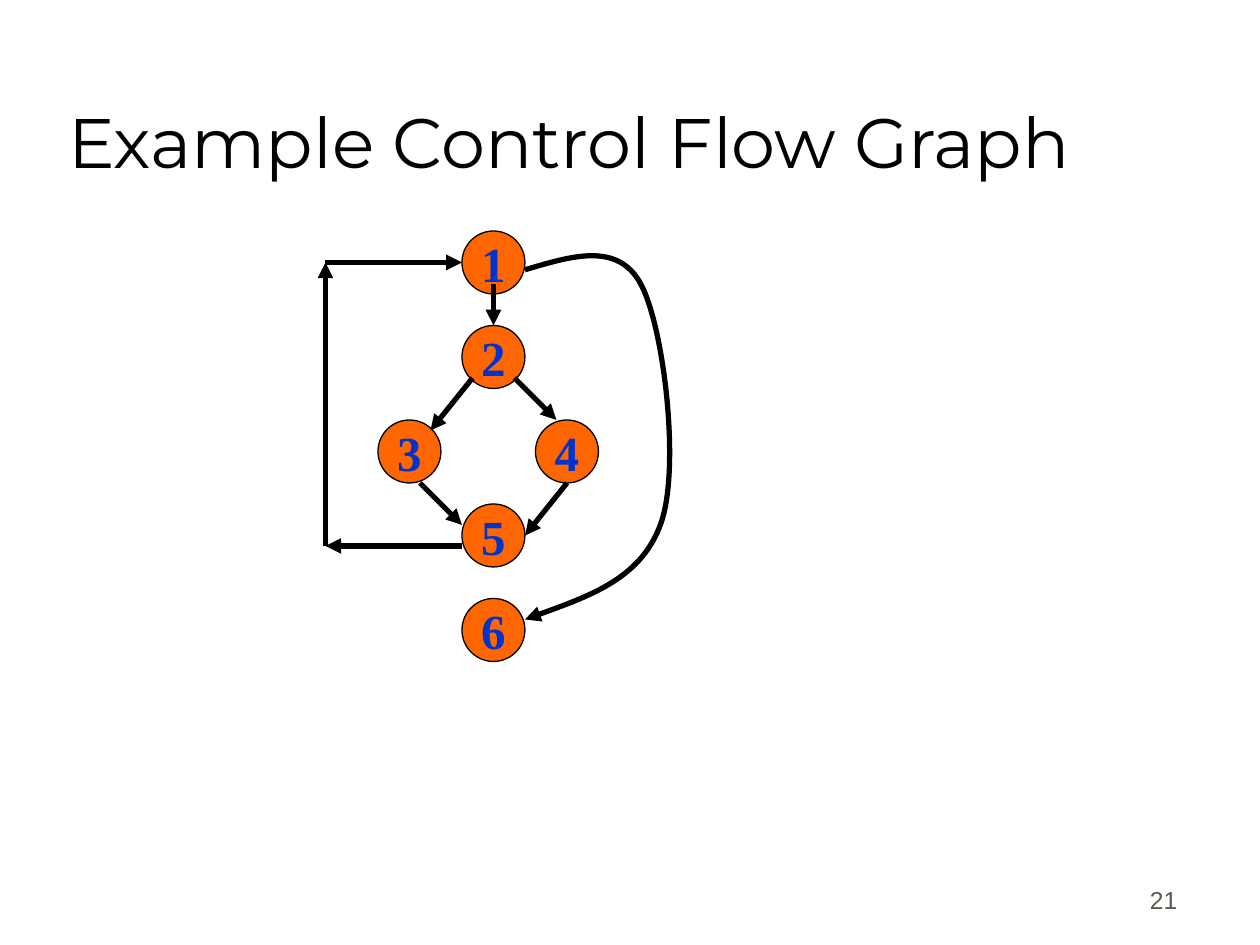
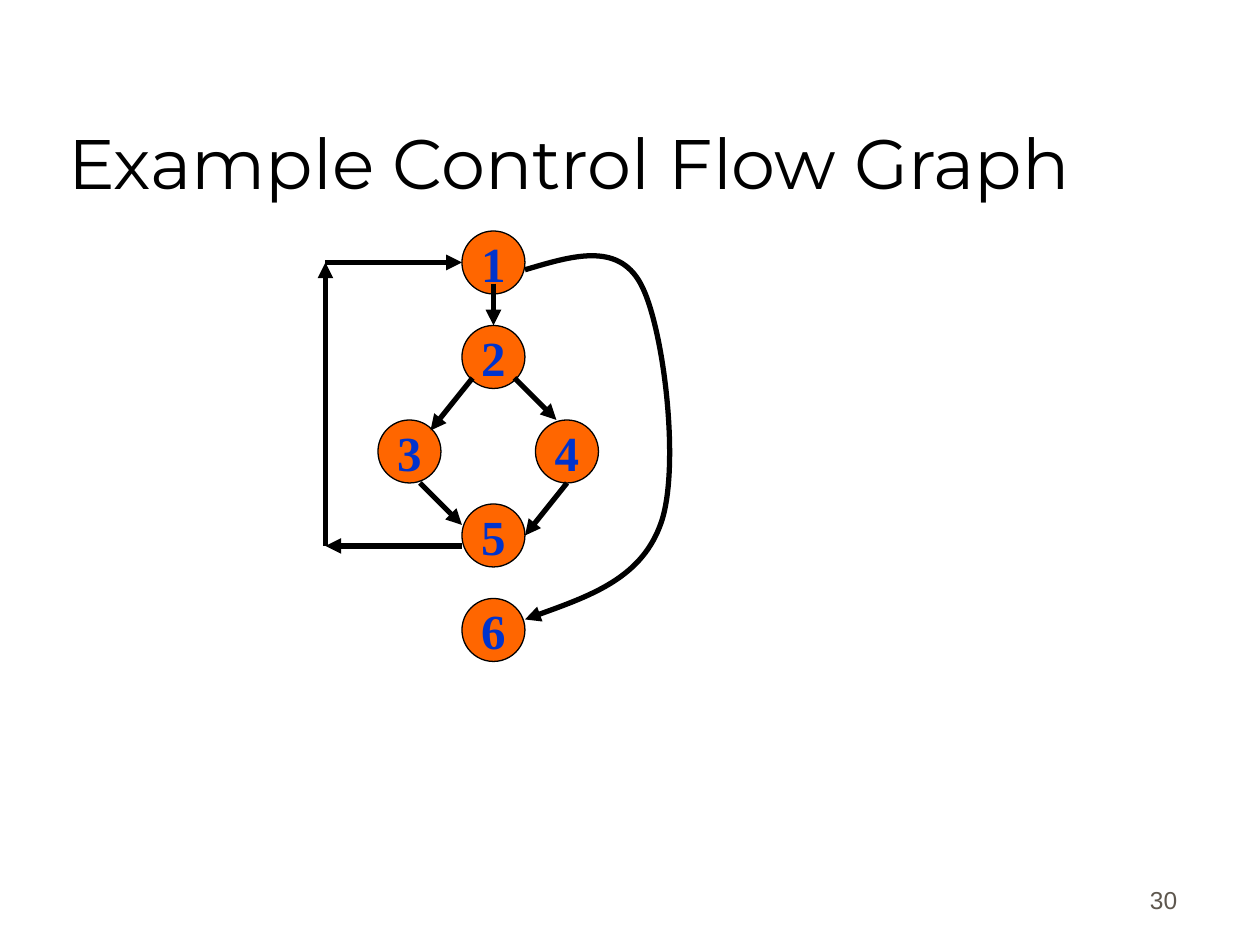
from lxml import etree
from pptx import Presentation
from pptx import util as u
from pptx.dml.color import RGBColor
from pptx.enum import shapes, text
from pptx.oxml.ns import qn

SCALE = 7620
COLORS = {"ink": "000000", "node": "FF6600", "label": "0033CC", "number": "5E574E"}
NODE_SIZE = 60
NODES = {"1": (440, 220), "2": (440, 310), "3": (360, 400),
         "4": (510, 400), "5": (440, 480), "6": (440, 570)}
BRANCHES = [
    [(470, 270), (470, 310)],
    [(450, 360), (410, 410)],
    [(490, 360), (530, 400)],
    [(400, 460), (440, 500)],
    [(540, 460), (500, 510)],
]
LOOP = [(440, 520), (310, 520), (310, 250), (440, 250)]
EXIT_CURVE = [(500, 257), (544, 244), (588, 230), (610, 270), (632, 310),
              (648, 443), (630, 497), (612, 550), (556, 570), (500, 590)]
PAGES = [("21", 30), ("30", 50)]


def px(*lengths):
    return [length * SCALE for length in lengths]


class FlowDeck:
    """Draws control flow graph slides in one shared style."""

    def __init__(self):
        self.deck = Presentation()
        self.deck.slide_width, self.deck.slide_height = px(1200, 900)
        self.page = None

    def add_page(self):
        self.page = self.deck.slides.add_slide(self.deck.slide_layouts[6])

    def color(self, name):
        return RGBColor.from_string(COLORS[name])

    def set_text(self, shape, words, font, size, color, align, anchor, bold=False):
        frame = shape.text_frame
        frame.text = words
        frame.vertical_anchor = anchor
        para = frame.paragraphs[0]
        para.alignment = align
        span = para.runs[0].font
        span.name, span.size, span.bold = font, u.Pt(size), bold
        span.color.rgb = self.color(color)
        return para

    def textbox(self, frame, *style):
        box = self.page.shapes.add_textbox(*px(*frame))
        box.text_frame.word_wrap = True
        return self.set_text(box, *style, text.MSO_ANCHOR.BOTTOM)

    def title(self, words, top):
        self.textbox((53, top, 1020, 150), words, "Montserrat", 40, "ink",
                     text.PP_ALIGN.LEFT)

    def page_number(self, number):
        para = self.textbox((883, 817, 250, 60), number, "Arial", 14, "number",
                            text.PP_ALIGN.RIGHT)
        para.space_before = u.Pt(8.8)

    def node(self, label, left, top):
        circle = self.page.shapes.add_shape(
            shapes.MSO_SHAPE.OVAL, *px(left, top, NODE_SIZE, NODE_SIZE))
        circle.shadow.inherit = False
        circle.fill.solid()
        circle.fill.fore_color.rgb = self.color("node")
        circle.line.color.rgb = self.color("ink")
        circle.line.width = u.Pt(0.75)
        circle.text_frame.word_wrap = False
        self.set_text(circle, label, "Times New Roman", 28, "label",
                      text.PP_ALIGN.CENTER, text.MSO_ANCHOR.MIDDLE, bold=True)

    def style_arrow(self, line_shape):
        line_shape.line.color.rgb = self.color("ink")
        line_shape.line.width = u.Pt(3)
        properties = line_shape._element.spPr
        etree.SubElement(properties.find(qn("a:ln")), qn("a:tailEnd"), type="triangle")
        etree.SubElement(properties, qn("a:effectLst"))

    def arrow(self, start, end):
        self.style_arrow(self.page.shapes.add_connector(
            shapes.MSO_CONNECTOR.STRAIGHT, *px(*start, *end)))

    def curved_arrow(self, points):
        builder = self.page.shapes.build_freeform(*points[0], scale=SCALE)
        builder.add_line_segments(points[1:], close=False)
        curve = builder.convert_to_shape()
        curve.fill.background()
        segments = list(curve._element.iter(qn("a:lnTo")))
        outline = segments[0].getparent()
        for first in range(0, len(segments), 3):
            bezier = etree.SubElement(outline, qn("a:cubicBezTo"))
            for segment in segments[first:first + 3]:
                bezier.append(segment[0])
                outline.remove(segment)
        self.style_arrow(curve)

    def graph(self):
        for label, corner in NODES.items():
            self.node(label, *corner)
        for start, end in BRANCHES + list(zip(LOOP, LOOP[1:])):
            self.arrow(start, end)
        self.curved_arrow(EXIT_CURVE)


def main():
    flow = FlowDeck()
    for number, title_top in PAGES:
        flow.add_page()
        flow.page_number(number)
        flow.title("Example Control Flow Graph", title_top)
        flow.graph()
    flow.deck.save("out.pptx")


if __name__ == "__main__":
    main()
